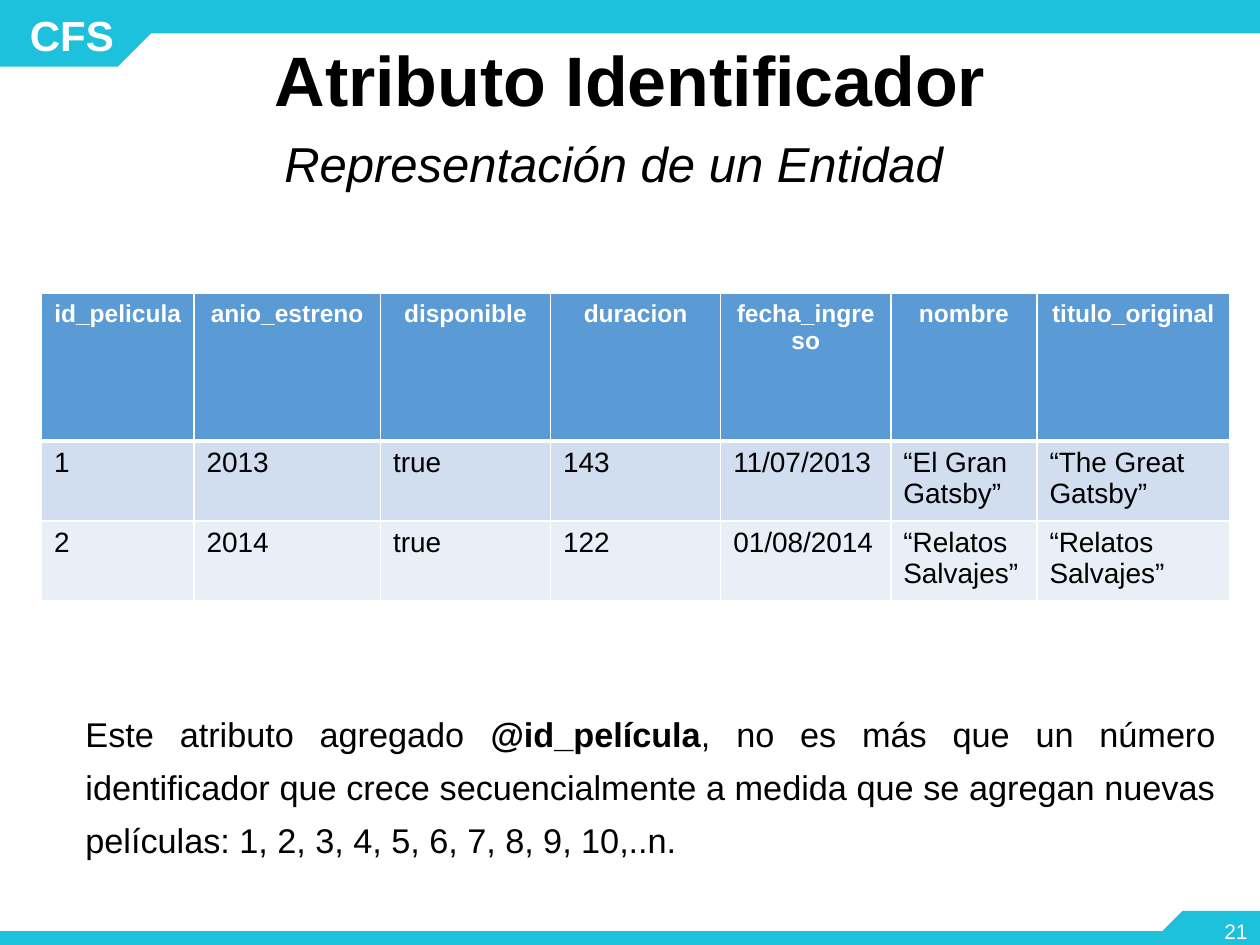
import pptx
import pptx.util
import pptx.dml.color
import pptx.enum.shapes
import pptx.enum.text
import pptx.oxml.ns
import lxml.etree

Inches = pptx.util.Inches
Pt = pptx.util.Pt
RGB = pptx.dml.color.RGBColor
Shape = pptx.enum.shapes.MSO_SHAPE
Align = pptx.enum.text.PP_ALIGN
Anchor = pptx.enum.text.MSO_ANCHOR

CYAN = RGB(0x1D, 0xC1, 0xDC)
BLUE = RGB(0x5B, 0x9B, 0xD5)
BANDS = [RGB(0xD0, 0xDE, 0xEF), RGB(0xE9, 0xEF, 0xF7)]
WHITE = RGB(0xFF, 0xFF, 0xFF)
BLACK = RGB(0, 0, 0)

WIDTH, HEIGHT = 10, 7.5
COLS = [1.21, 1.48, 1.35, 1.35, 1.35, 1.16, 1.53]
ROWS = [1.17, 0.58, 0.58]
HEAD = ["id_pelicula", "anio_estreno", "disponible", "duracion",
        "fecha_ingreso", "nombre", "titulo_original"]
FILMS = [
    ["1", "2013", "true", "143", "11/07/2013", "“El Gran Gatsby”", "“The Great Gatsby”"],
    ["2", "2014", "true", "122", "01/08/2014", "“Relatos Salvajes”", "“Relatos Salvajes”"],
]


def write(frame, runs, size=18, color=BLACK, bold=False, align=Align.LEFT, line=None):
    """Fill a frame with one paragraph; runs are (text, changes), "\\n" is a line break."""
    frame.word_wrap = True
    para = frame.paragraphs[0]
    para.alignment = align
    if line:
        para.line_spacing = line
    for text, diff in runs:
        if text == "\n":
            para.add_line_break()
            continue
        run = para.add_run()
        run.text = text
        font = run.font
        font.name = "Arial"
        font.size = Pt(diff.get("size", size))
        font.bold = diff.get("bold", bold)
        font.italic = diff.get("italic", False)
        font.color.rgb = color
    return para


def add_text(slide, box, runs, anchor=Anchor.MIDDLE, top=0.05, **form):
    frame = slide.shapes.add_textbox(*map(Inches, box)).text_frame
    frame.vertical_anchor = anchor
    frame.margin_top = Inches(top)
    return write(frame, runs, **form)


def add_block(slide, kind, box, flip=None):
    shape = slide.shapes.add_shape(kind, *map(Inches, box))
    shape.shadow.inherit = False
    shape.fill.solid()
    shape.fill.fore_color.rgb = CYAN
    shape.line.fill.background()
    if flip:
        shape.adjustments[0] = 0.5
        shape._element.spPr.xfrm.set(flip, "1")


def add_header(slide, box):
    left, top, width, height = box
    tab = 1.2
    add_block(slide, Shape.RECTANGLE, (left + 1.12, top, width - 1.12, height / 2))
    add_block(slide, Shape.SNIP_1_RECTANGLE, (left, top, tab, height), "flipV")
    add_text(slide, (left + 0.07, top + 0.04, 1, 0.47), [("CFS", {})],
             size=24, color=WHITE, bold=True, align=Align.CENTER)


def add_footer(slide, box, number):
    left, top, width, height = box
    tab = 0.77
    right = left + width
    add_block(slide, Shape.RECTANGLE, (left, top + 0.16, width, height - 0.16))
    add_block(slide, Shape.SNIP_1_RECTANGLE, (right - tab, top, tab, height), "flipH")
    add_text(slide, (right - 0.61, top - 0.04, 0.61, 0.4), [(number, {})],
             size=12, color=WHITE, align=Align.RIGHT)


def add_title(slide, box):
    runs = [("Atributo Identificador", {}), ("\n", {}),
            ("Representación de un Entidad ", {"size": 28, "bold": False, "italic": True}),
            (" ", {})]
    add_text(slide, box, runs, size=40, bold=True, align=Align.CENTER, line=0.9)


def set_edges(cell, base):
    """Draw white cell borders, the bottom one `base` points wide."""
    props = cell._tc.get_or_add_tcPr()
    qn = pptx.oxml.ns.qn
    for spot, (side, width) in enumerate(zip("LRTB", (1, 1, 1, base))):
        edge = lxml.etree.Element(qn("a:ln" + side), w=str(Pt(width)))
        fill = lxml.etree.SubElement(edge, qn("a:solidFill"))
        lxml.etree.SubElement(fill, qn("a:srgbClr"), val=str(WHITE))
        props.insert(spot, edge)


def add_films(slide, box):
    table = slide.shapes.add_table(len(ROWS), len(COLS), *map(Inches, box)).table
    for col, width in zip(table.columns, COLS):
        col.width = Inches(width)
    for row, height in zip(table.rows, ROWS):
        row.height = Inches(height)
    for r, texts in enumerate([HEAD] + FILMS):
        if r == 0:
            fill, base = BLUE, 3
            form = dict(size=14, color=WHITE, bold=True, align=Align.CENTER)
        else:
            fill, base = BANDS[r - 1], 1
            form = dict(size=16)
        for c, text in enumerate(texts):
            cell = table.cell(r, c)
            cell.fill.solid()
            cell.fill.fore_color.rgb = fill
            set_edges(cell, base)
            write(cell.text_frame, [(text, {})], **form)


def add_note(slide, box):
    runs = [("Este atributo agregado ", {}), ("@id_película", {"bold": True}),
            (", no es más que un número identificador que crece secuencialmente a medida "
             "que se agregan nuevas películas: 1, 2, 3, 4, 5, 6, 7, 8, 9, 10,..n.", {})]
    para = add_text(slide, box, runs, anchor=Anchor.TOP, top=0.42,
                    size=19.6, align=Align.JUSTIFY, line=1.3)
    para._p.get_or_add_pPr().set("marL", str(Inches(0.25)))


def main():
    deck = pptx.Presentation()
    deck.slide_width, deck.slide_height = Inches(WIDTH), Inches(HEIGHT)
    slide = deck.slides.add_slide(deck.slide_layouts[6])
    add_footer(slide, (0, 7.23, WIDTH, 0.31), "21")
    add_header(slide, (0, 0, WIDTH, 0.53))
    add_title(slide, (0.69, 0.3, 8.62, 1.33))
    add_films(slide, (0.33, 2.33, sum(COLS), sum(ROWS)))
    add_note(slide, (0.33, 5.14, 9.42, 1.86))
    deck.save("out.pptx")


if __name__ == "__main__":
    main()
